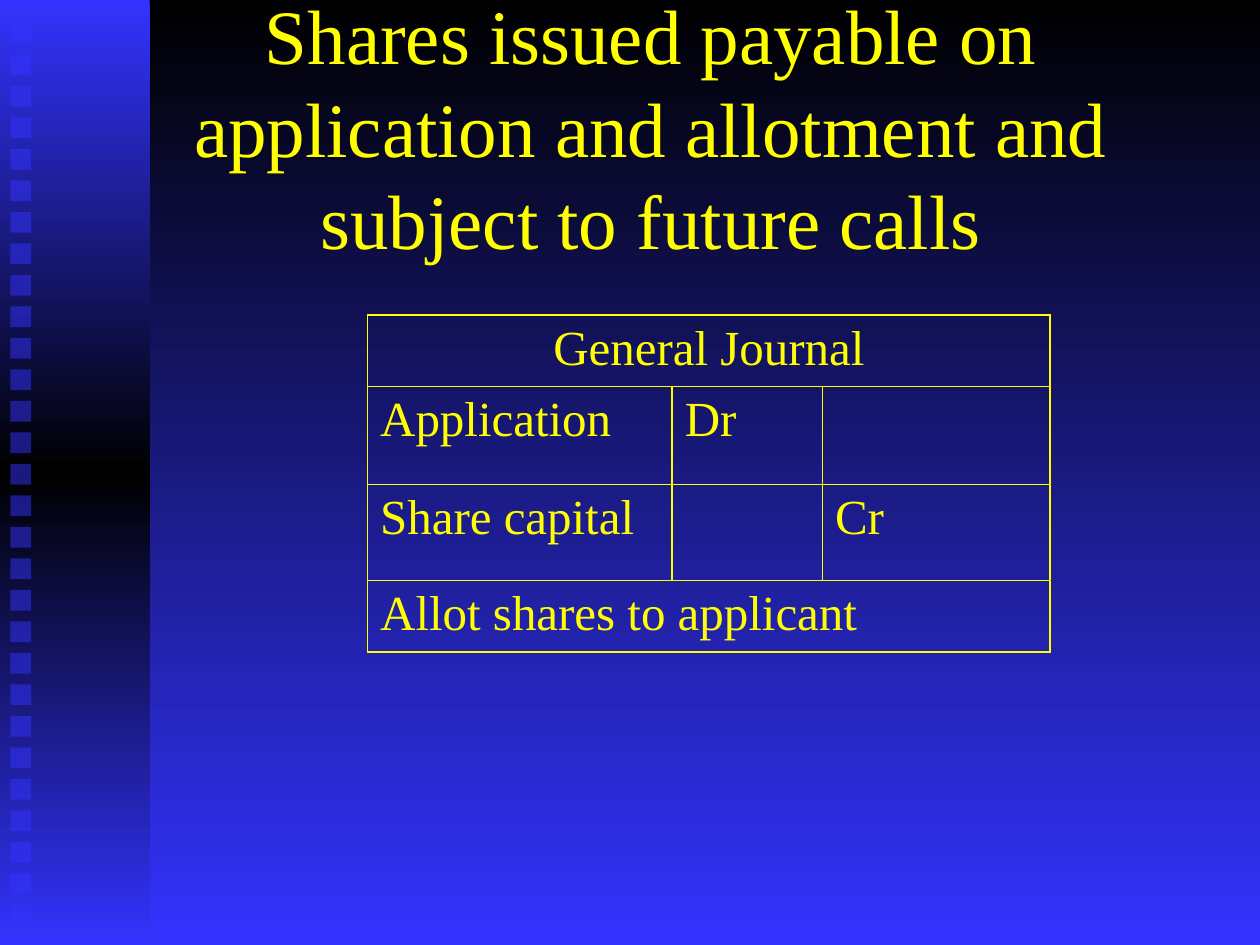
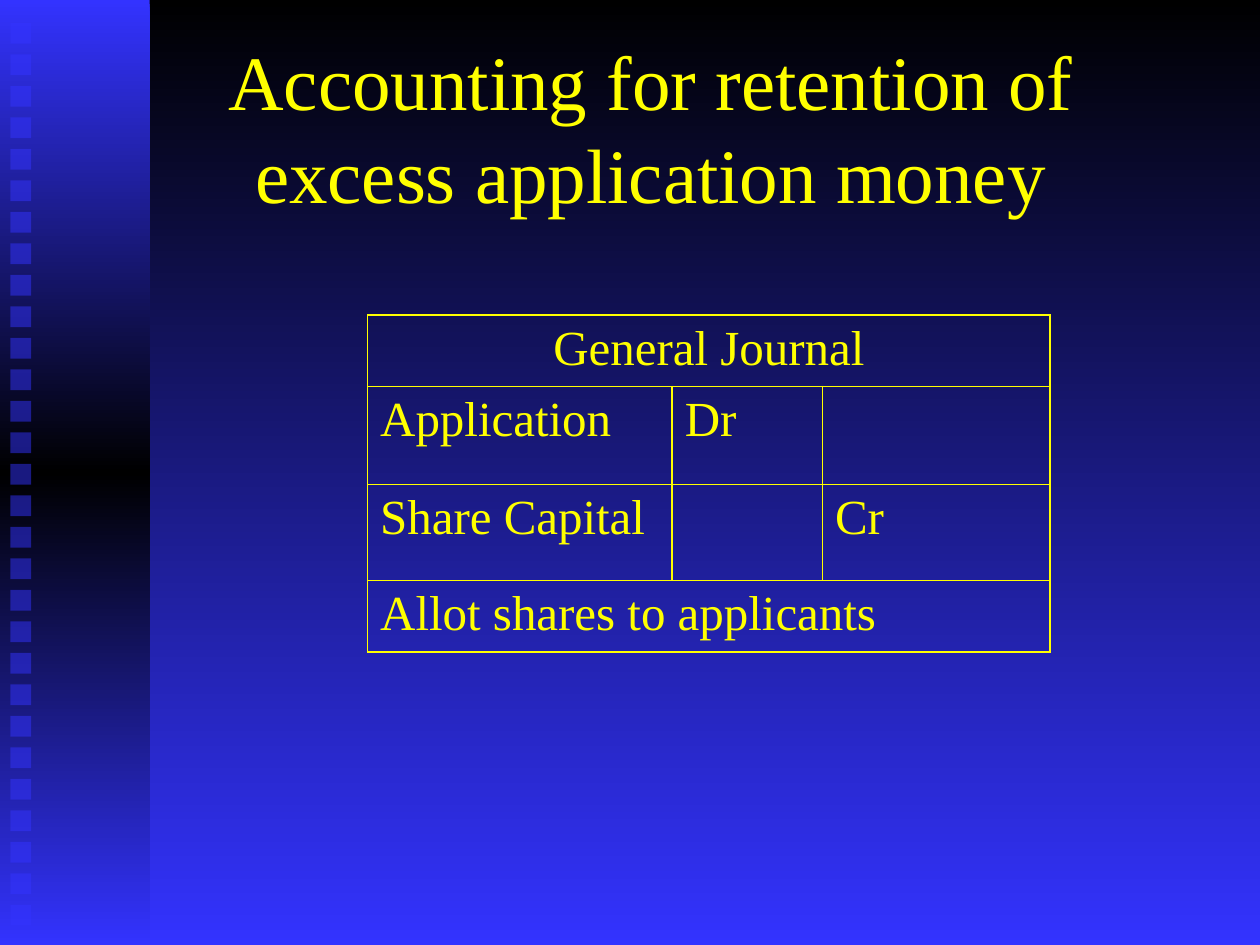
from lxml.etree import SubElement
from pptx import Presentation
from pptx.dml.color import RGBColor
from pptx.enum.shapes import MSO_SHAPE as Shape
from pptx.enum.text import MSO_ANCHOR as Anchor, PP_ALIGN as Align
from pptx.oxml.ns import qn
from pptx.util import Cm, Pt

COLORS = {"black": "000000", "blue": "3333FF", "yellow": "FFFF00"}
FONT = "Times New Roman"
SLIDE_WIDTH, SLIDE_HEIGHT = 25.4, 19.05

SQUARE_COUNT = 29
SQUARE_SIZE = 0.42
FIRST_SQUARE_TOP, LAST_SQUARE_TOP = 0.46, 18.24

COLUMN_WIDTHS = [6.14, 3.03, 4.59]
ROW_HEIGHTS = [1.35, 1.98, 1.93, 1.35]

SLIDES = [
    ("Shares issued payable on application and allotment and subject to future calls",
     "Share capital", "Allot shares to applicant"),
    ("Accounting for retention of excess application money",
     "Share Capital", "Allot shares to applicants"),
]


def rgb(name):
    return RGBColor.from_string(COLORS[name])


def fill_downward(fill, element, names):
    """Fill with evenly spaced colours from top to bottom."""
    fill.gradient()
    fill.gradient_angle = 270
    stops = element.find(".//" + qn("a:gsLst"))
    for stop in list(stops):
        stops.remove(stop)
    for index, name in enumerate(names):
        position = round(index * 100000 / (len(names) - 1))
        stop = SubElement(stops, qn("a:gs"), pos=str(position))
        SubElement(stop, qn("a:srgbClr"), val=COLORS[name])


def write_text(frame, text, size=28, align=Align.LEFT, color="yellow", spacing=None):
    frame.word_wrap = True
    paragraph = frame.paragraphs[0]
    paragraph.alignment = align
    paragraph.line_spacing = spacing
    font = paragraph.font
    if text:
        run = paragraph.add_run()
        run.text = text
        font = run.font
    font.name = FONT
    font.size = Pt(size)
    font.color.rgb = rgb(color)


def add_rectangle(slide, left, top, width, height):
    rectangle = slide.shapes.add_shape(
        Shape.RECTANGLE, Cm(left), Cm(top), Cm(width), Cm(height))
    rectangle.shadow.inherit = False
    rectangle.line.fill.background()
    return rectangle


def add_backdrop(slide):
    fill_downward(slide.background.fill, slide.element, ["black", "blue"])
    side_band = add_rectangle(slide, 0, 0, 3.02, SLIDE_HEIGHT)
    fill_downward(side_band.fill, side_band.element, ["blue", "black", "blue"])
    pitch = (LAST_SQUARE_TOP - FIRST_SQUARE_TOP) / (SQUARE_COUNT - 1)
    for index in range(SQUARE_COUNT):
        square = add_rectangle(
            slide, 0.21, FIRST_SQUARE_TOP + index * pitch, SQUARE_SIZE, SQUARE_SIZE)
        square.fill.solid()
        square.fill.fore_color.rgb = rgb("blue")
        color = square.element.spPr.find(".//" + qn("a:srgbClr"))
        SubElement(color, qn("a:alpha"), val="50000")


def add_title(slide, text):
    title = slide.shapes.add_textbox(Cm(2.33), Cm(0.85), Cm(21.59), Cm(3.39))
    title.text_frame.vertical_anchor = Anchor.MIDDLE
    write_text(title.text_frame, text, size=44, align=Align.CENTER)


def outline_cell(cell):
    properties = cell._tc.get_or_add_tcPr()
    for index, side in enumerate(("lnL", "lnR", "lnT", "lnB")):
        line = properties.makeelement(qn("a:" + side), {"w": str(Pt(1))})
        fill = SubElement(line, qn("a:solidFill"))
        SubElement(fill, qn("a:srgbClr"), val=COLORS["yellow"])
        properties.insert(index, line)


def add_journal(slide, credit_account, narration):
    entries = [
        ["General Journal", "", ""],
        ["Application", "Dr", ""],
        [credit_account, "", "Cr"],
        [narration, "", ""],
    ]
    journal = slide.shapes.add_table(
        len(ROW_HEIGHTS), len(COLUMN_WIDTHS), Cm(7.41), Cm(6.35),
        Cm(sum(COLUMN_WIDTHS)), Cm(sum(ROW_HEIGHTS))).table
    journal.first_row = journal.horz_banding = False
    for column, width in zip(journal.columns, COLUMN_WIDTHS):
        column.width = Cm(width)
    for row, height in zip(journal.rows, ROW_HEIGHTS):
        row.height = Cm(height)
    for row_index, entry in enumerate(entries):
        for column_index, text in enumerate(entry):
            cell = journal.cell(row_index, column_index)
            cell.fill.background()
            outline_cell(cell)
            align = Align.CENTER if row_index == 0 else Align.LEFT
            write_text(cell.text_frame, text, align=align)
    last_column = len(COLUMN_WIDTHS) - 1
    for row_index in (0, len(entries) - 1):
        journal.cell(row_index, 0).merge(journal.cell(row_index, last_column))


def main():
    deck = Presentation()
    deck.slide_width, deck.slide_height = Cm(SLIDE_WIDTH), Cm(SLIDE_HEIGHT)
    for title, credit_account, narration in SLIDES:
        slide = deck.slides.add_slide(deck.slide_layouts[6])
        add_backdrop(slide)
        add_title(slide, title)
        add_journal(slide, credit_account, narration)
    deck.save("out.pptx")


if __name__ == "__main__":
    main()
